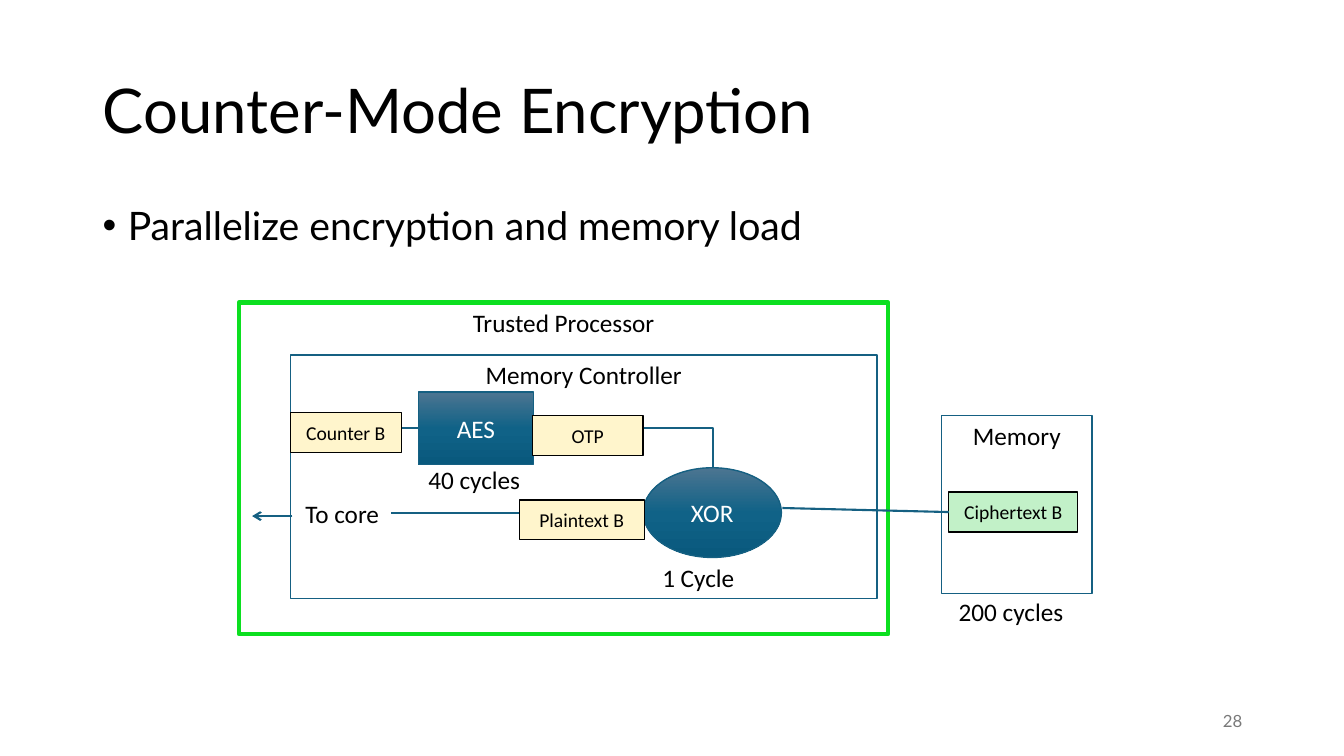
from copy import deepcopy
from dataclasses import dataclass

from lxml import etree
from pptx import Presentation
from pptx.dml.color import RGBColor
from pptx.enum import shapes, text
from pptx.oxml.ns import qn
from pptx.util import Inches, Pt

RECT = shapes.MSO_SHAPE.RECTANGLE
OVAL = shapes.MSO_SHAPE.OVAL
LEFT, MID, RIGHT = text.PP_ALIGN.LEFT, text.PP_ALIGN.CENTER, text.PP_ALIGN.RIGHT
TOP, CENTRE = text.MSO_ANCHOR.TOP, text.MSO_ANCHOR.MIDDLE


@dataclass(frozen=True)
class Theme:
    head: str = "Lato"
    body: str = "Calibri"
    ink: str = "000000"
    paper: str = "FFFFFF"
    grey: str = "797979"
    blue: str = "156082"
    trust: str = "0CDF20"
    cream: str = "FFF5CC"
    mint: str = "C2F1C8"
    shade: tuple = ("4C7591", "106287", "09597D")
    title: int = 44
    point: int = 28
    label: int = 18
    chip: int = 14
    foot: int = 12


T = Theme()


def rgb(code):
    return RGBColor.from_string(code)


def lengths(*values):
    return [Inches(v) for v in values]


def write(shape, words, size, color=T.ink, font=T.body, align=MID,
          anchor=CENTRE, wrap=True):
    frame = shape.text_frame
    frame.word_wrap = wrap
    frame.auto_size = text.MSO_AUTO_SIZE.NONE
    frame.vertical_anchor = anchor
    para = frame.paragraphs[0]
    para.alignment = align
    run = para.add_run()
    run.text = words
    run.font.size, run.font.name = Pt(size), font
    run.font.color.rgb = rgb(color)
    return para


def block(slide, kind, box, line=T.blue, width=1, fill=None):
    shape = slide.shapes.add_shape(kind, *lengths(*box))
    shape.shadow.inherit = False
    shape.line.color.rgb = rgb(line)
    shape.line.width = Pt(width)
    if fill:
        shape.fill.solid()
        shape.fill.fore_color.rgb = rgb(fill)
    else:
        shape.fill.background()
    return shape


def frame(slide, box, words, line=T.blue, width=1):
    shape = block(slide, RECT, box, line, width)
    write(shape, words, T.label, anchor=TOP)


def unit(slide, kind, box, words):
    """Processing step with a vertical three-stop gradient."""
    shape = block(slide, kind, box)
    shape.fill.gradient()
    shape.fill.gradient_angle = 270
    stops = shape._element.spPr.find(".//" + qn("a:gsLst"))
    stops.insert(1, deepcopy(stops[0]))
    for i, stop in enumerate(shape.fill.gradient_stops):
        stop.color.rgb = rgb(T.shade[i])
        stop.position = i / 2
    write(shape, words, T.label, T.paper)
    return shape


def chip(slide, box, words, fill=T.cream):
    shape = block(slide, RECT, box, T.ink, 1, fill)
    write(shape, words, T.chip)
    return shape


def label(slide, box, words):
    shape = slide.shapes.add_textbox(*lengths(*box))
    write(shape, words, T.label, align=LEFT, anchor=TOP, wrap=False)


def wire(slide, start, end, arrow=False, bent=False):
    kind = shapes.MSO_CONNECTOR.ELBOW if bent else shapes.MSO_CONNECTOR.STRAIGHT
    line = slide.shapes.add_connector(kind, *lengths(*start, *end))
    line.line.color.rgb = rgb(T.blue)
    line.line.width = Pt(1.5)
    props = line._element.spPr
    if bent:
        props.find(qn("a:prstGeom")).set("prst", "bentConnector2")
    if arrow:
        etree.SubElement(props.find(qn("a:ln")), qn("a:tailEnd"), type="arrow")
    etree.SubElement(props, qn("a:effectLst"))
    return line


def heading(slide, box):
    title = slide.shapes.title
    title.left, title.top, title.width, title.height = lengths(*box)
    para = write(title, "Counter-Mode Encryption", T.title, font=T.head,
                 align=LEFT)
    para.line_spacing = 0.9


def bullets(slide, box):
    shape = slide.shapes.add_textbox(*lengths(*box))
    para = write(shape, "Parallelize encryption and memory load", T.point,
                 font=T.head, align=LEFT, anchor=TOP)
    para.line_spacing = 0.9
    para.space_before = Pt(10)
    props = para._p.get_or_add_pPr()
    props.set("marL", str(Inches(0.25)))
    props.set("indent", str(Inches(-0.25)))
    etree.SubElement(props, qn("a:buFont"), typeface="Arial")
    etree.SubElement(props, qn("a:buChar"), char="•")


def footer(slide, box):
    shape = slide.shapes.add_textbox(*lengths(*box))
    write(shape, "28", T.foot, T.grey, T.head, RIGHT)


def processor(slide, box):
    """Draw the trusted side and return the right-hand point of XOR."""
    x, y, w, h = box

    def at(dx, dy, *size):
        return (x + dx, y + dy, *size)

    frame(slide, box, "Trusted Processor", T.trust, 3)
    unit(slide, OVAL, at(4.01, 1.64, 1.37, 0.89), "XOR")
    aes = unit(slide, RECT, at(1.78, 0.89, 1.14, 0.72), "AES")
    frame(slide, at(0.51, 0.52, w - 0.62, h - 0.87), "Memory Controller")

    label(slide, at(0.56, 1.89, 0.94, 0.4), "To core")
    label(slide, at(4.1, 2.53, 0.92, 0.4), "1 Cycle")
    label(slide, at(1.78, 1.56, 1.12, 0.4), "40 cycles")

    wire(slide, at(0.53, 2.12), at(0.13, 2.12), arrow=True)
    wire(slide, at(4.01, 2.09), at(1.51, 2.09))
    wire(slide, at(0.83, 1.25), at(1.78, 1.25)).end_connect(aes, 1)
    wire(slide, at(2.92, 1.25), at(4.7, 1.64), bent=True)

    chip(slide, at(0.51, 1.09, 1.1, 0.4), "Counter B")
    chip(slide, at(2.91, 1.12, 1.1, 0.4), "OTP")
    chip(slide, at(2.78, 1.96, 1.24, 0.39), "Plaintext B")
    return at(5.39, 2.04)


def memory(slide, box):
    """Draw the memory side and return its ciphertext block."""
    x, y, w, h = box
    frame(slide, box, "Memory")
    label(slide, (x + 0.07, y + h - 0.02, 1.25, 0.4), "200 cycles")
    return chip(slide, (x + 0.07, y + 0.76, 1.28, 0.4), "Ciphertext B", T.mint)


def main():
    deck = Presentation()
    deck.slide_width, deck.slide_height = lengths(13.33, 7.5)
    slide = deck.slides.add_slide(deck.slide_layouts[5])
    heading(slide, (0.92, 0.4, 11.5, 1.45))
    bullets(slide, (0.92, 2, 11.5, 4.76))
    footer(slide, (9.42, 6.95, 3, 0.4))
    port = processor(slide, (2.37, 3, 6.44, 3.29))
    cipher = memory(slide, (9.34, 4.12, 1.49, 1.77))
    wire(slide, (9.41, 5.08), port).begin_connect(cipher, 1)
    deck.save("out.pptx")


if __name__ == "__main__":
    main()
